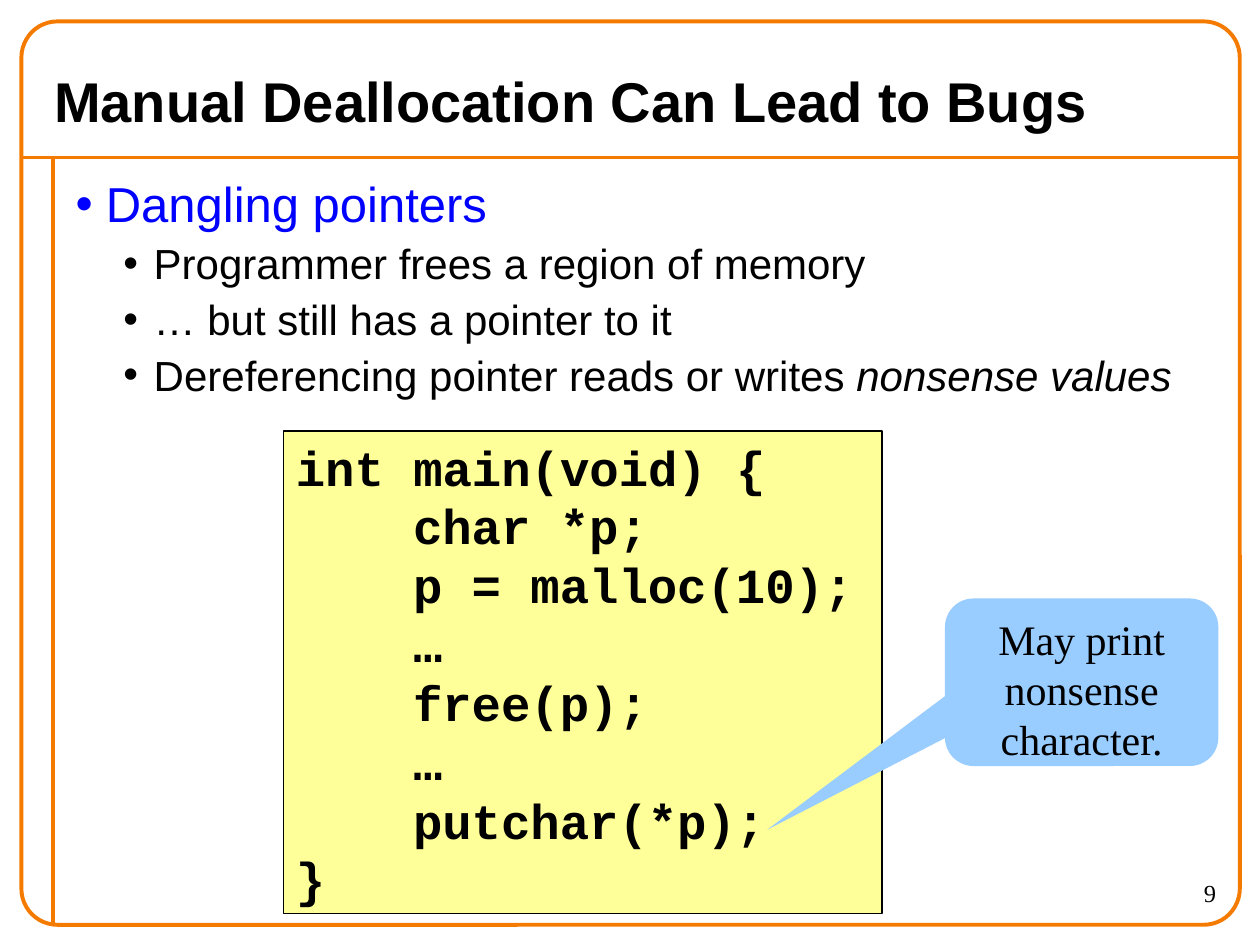
from lxml import etree
from pptx import Presentation
from pptx.dml.color import RGBColor
from pptx.enum import shapes, text
from pptx.oxml.ns import qn
from pptx.util import Inches, Pt

COLORS = {
    "frame": "F47A00",
    "text": "000000",
    "topic": "0000FF",
    "code": "FFFF99",
    "callout": "99CCFF",
}
CODE = [
    (0, "int main(void) {"),
    (1, "char *p;"),
    (1, "p = malloc(10);"),
    (1, "…"),
    (1, "free(p);"),
    (1, "…"),
    (1, "putchar(*p);"),
    (0, "}"),
]
CODE_INDENT = 0.93  # four characters of the code font
POINTS = [
    ["Programmer frees a region of memory"],
    ["… but still has a pointer to it"],
    ["Dereferencing pointer reads or writes ", "nonsense values"],
]


def rgb(name):
    return RGBColor.from_string(COLORS[name])


def place(shape, left, top, width, height):
    shape.left, shape.top = Inches(left), Inches(top)
    shape.width, shape.height = Inches(width), Inches(height)


def format_runs(paragraph, font, size, color="text", bold=False):
    for run in paragraph.runs:
        run.font.name = font
        run.font.size = Pt(size)
        run.font.bold = bold
        run.font.color.rgb = rgb(color)


def set_indent(paragraph, left, first=0):
    properties = paragraph._p.get_or_add_pPr()
    properties.set("marL", str(Inches(left)))
    properties.set("indent", str(Inches(first)))


def set_bullet(paragraph, color):
    properties = paragraph._p.get_or_add_pPr()
    bullet_color = etree.SubElement(properties, qn("a:buClr"))
    etree.SubElement(bullet_color, qn("a:srgbClr"), val=COLORS[color])
    etree.SubElement(properties, qn("a:buFont"), typeface="Arial")
    etree.SubElement(properties, qn("a:buChar"), char="•")


def add_rule(slide, start, end):
    rule = slide.shapes.add_connector(
        shapes.MSO_CONNECTOR.STRAIGHT, *map(Inches, start + end))
    rule.line.color.rgb = rgb("frame")
    rule.line.width = Pt(2.25)
    etree.SubElement(rule._element.spPr, qn("a:effectLst"))


def add_box(slide, kind, bounds, fill=None, line=None, width=0.75):
    box = slide.shapes.add_shape(kind, *map(Inches, bounds))
    box.shadow.inherit = False
    if fill:
        box.fill.solid()
        box.fill.fore_color.rgb = rgb(fill)
    else:
        box.fill.background()
    if line:
        box.line.color.rgb = rgb(line)
        box.line.width = Pt(width)
    else:
        box.line.fill.background()
    box.text_frame.word_wrap = True
    box.text_frame.vertical_anchor = text.MSO_ANCHOR.TOP
    return box


def add_frame(slide):
    add_rule(slide, (0.17, 1.25), (9.83, 1.25))
    add_rule(slide, (0.42, 1.25), (0.42, 7.33))
    outline = add_box(slide, shapes.MSO_SHAPE.ROUNDED_RECTANGLE,
                      (0.17, 0.17, 9.67, 7.17), line="frame", width=2.25)
    outline.adjustments[0] = 0.04


def fill_title(title):
    place(title, 0.33, 0.42, 9.33, 0.75)
    frame = title.text_frame
    frame.text = "Manual Deallocation Can Lead to Bugs"
    frame.auto_size = text.MSO_AUTO_SIZE.NONE
    frame.vertical_anchor = text.MSO_ANCHOR.MIDDLE
    frame.paragraphs[0].alignment = text.PP_ALIGN.LEFT
    format_runs(frame.paragraphs[0], "Arial", 32, bold=True)


def fill_body(body):
    place(body, 0.5, 1.33, 9.25, 6)
    frame = body.text_frame
    frame.auto_size = text.MSO_AUTO_SIZE.NONE
    frame.text = "Dangling pointers"
    topic = frame.paragraphs[0]
    topic.space_before = Pt(17.5)
    set_indent(topic, 0.24, -0.24)
    set_bullet(topic, "topic")
    format_runs(topic, "Arial", 28, "topic")
    for parts in POINTS:
        paragraph = frame.add_paragraph()
        paragraph.level = 1
        paragraph.space_before = Pt(3)
        set_indent(paragraph, 0.62, -0.24)
        set_bullet(paragraph, "text")
        for part in parts:
            paragraph.add_run().text = part
        format_runs(paragraph, "Arial", 24)
        for emphasis in paragraph.runs[1:]:
            emphasis.font.italic = True


def add_code(slide):
    box = add_box(slide, shapes.MSO_SHAPE.RECTANGLE,
                  (2.25, 3.42, 4.75, 3.83), "code", "text")
    frame = box.text_frame
    frame.text = "\n".join(line for _, line in CODE)
    for paragraph, (depth, _) in zip(frame.paragraphs, CODE):
        paragraph.alignment = text.PP_ALIGN.LEFT
        set_indent(paragraph, depth * CODE_INDENT)
        format_runs(paragraph, "Courier New", 28, bold=True)


def add_callout(slide):
    callout = add_box(slide, shapes.MSO_SHAPE.ROUNDED_RECTANGULAR_CALLOUT,
                      (7.5, 4.75, 2.17, 1.33), "callout")
    for index, value in enumerate((-1.15, 0.88, 0.17)):
        callout.adjustments[index] = value
    callout.text_frame.text = "May print nonsense character."
    paragraph = callout.text_frame.paragraphs[0]
    paragraph.alignment = text.PP_ALIGN.CENTER
    format_runs(paragraph, "Times New Roman", 24)


def add_page_number(slide):
    box = slide.shapes.add_textbox(*map(Inches, (8.75, 6.92, 1, 0.42)))
    box.text_frame.word_wrap = True
    box.text_frame.text = "9"
    paragraph = box.text_frame.paragraphs[0]
    paragraph.alignment = text.PP_ALIGN.RIGHT
    format_runs(paragraph, "Times New Roman", 14)


def main():
    presentation = Presentation()
    presentation.slide_width = Inches(10)
    presentation.slide_height = Inches(7.5)
    slide = presentation.slides.add_slide(presentation.slide_layouts[1])
    add_frame(slide)
    add_page_number(slide)
    fill_title(slide.shapes.title)
    fill_body(slide.placeholders[1])
    add_code(slide)
    add_callout(slide)
    presentation.save("out.pptx")


if __name__ == "__main__":
    main()
